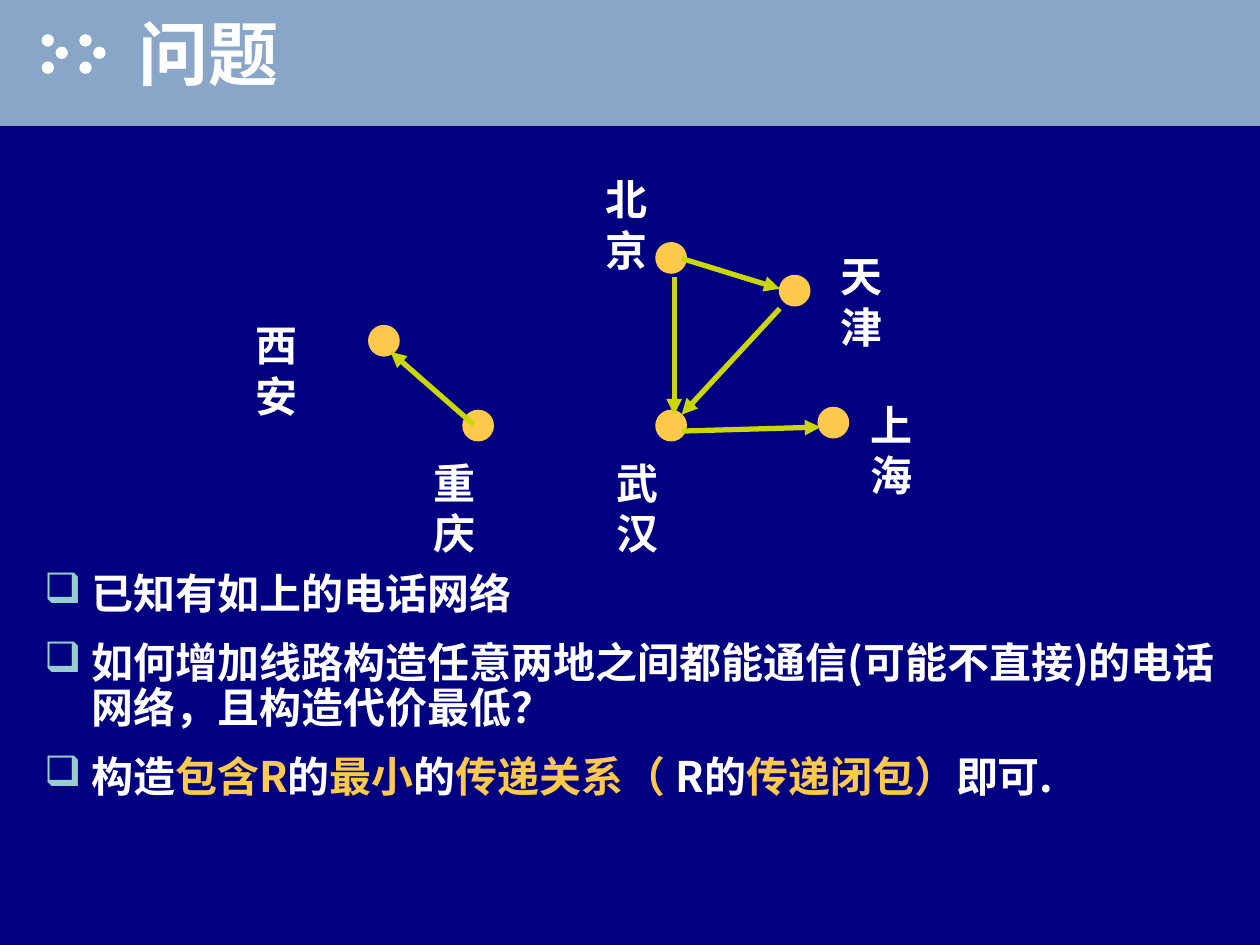
from lxml.etree import SubElement
from pptx import Presentation
from pptx.dml.color import RGBColor
from pptx.enum.shapes import MSO_CONNECTOR, MSO_SHAPE
from pptx.enum.text import MSO_ANCHOR, PP_ALIGN
from pptx.oxml.ns import qn
from pptx.util import Cm, Pt

FONT = "Noto Sans CJK SC"
NAVY, BAND, WHITE = "000080", "89A5C7", "FFFFFF"
GOLD, LIME, MINT = "FFC94C", "CAD704", "99CCCC"

TITLE = "问题"
CITIES = [
    ("天津", (15.7, 5.54), (16.69, 4.93)),
    ("北京", (13.21, 4.88), (11.96, 3.38)),
    ("上海", (16.48, 8.2), (17.3, 7.92)),
    ("武汉", (13.21, 8.26), (12.17, 9.09)),
    ("西安", (7.42, 6.55), (4.9, 6.32)),
    ("重庆", (9.32, 8.26), (8.48, 9.09)),
]
CALLS = [
    ((13.74, 5.21), (15.72, 5.82)),
    ((15.72, 6.22), (13.74, 8.36)),
    ((13.59, 5.59), (13.59, 8.36)),
    ((13.74, 8.69), (16.54, 8.61)),
    ((9.55, 8.56), (7.87, 7.09)),
]
POINTS = [
    [("已知有如上的电话网络", WHITE)],
    [("如何增加线路构造任意两地之间都能通信(可能不直接)的电话网络，且构造代价最低？", WHITE)],
    [("构造", WHITE), ("包含R", GOLD), ("的", WHITE), ("最小", GOLD), ("的", WHITE),
     ("传递关系（ ", GOLD), ("R的", WHITE), ("传递闭包）", GOLD), ("即可.", WHITE)],
]
CHEVRON_DOTS = [(0.84, 0.69), (1.12, 0.94), (0.84, 1.24)]
CHEVRON_STEP = 0.76


def paint(fill, colour):
    fill.solid()
    fill.fore_color.rgb = RGBColor.from_string(colour)


def add_solid(page, kind, left, top, width, height, colour):
    shape = page.shapes.add_shape(kind, Cm(left), Cm(top), Cm(width), Cm(height))
    shape.shadow.inherit = False
    shape.line.fill.background()
    paint(shape.fill, colour)


def add_dot(page, place, size, colour):
    add_solid(page, MSO_SHAPE.OVAL, *place, size, size, colour)


def style(para, size):
    para.alignment = PP_ALIGN.LEFT
    para.font.size = Pt(size)
    para.font.bold = True
    para.font.name = FONT
    paint(para.font.fill, WHITE)
    defaults = para._p.pPr.find(qn("a:defRPr"))
    SubElement(defaults, qn("a:ea"), typeface=FONT)


def add_bullet(para):
    properties = para._p.get_or_add_pPr()
    properties.set("marL", str(Cm(0.95)))
    properties.set("indent", str(-Cm(0.95)))
    colour = SubElement(properties, qn("a:buClr"))
    SubElement(colour, qn("a:srgbClr"), val=MINT)
    SubElement(properties, qn("a:buChar"), char="❑")


def add_title(page):
    title = page.shapes.title
    page.shapes._spTree.append(title._element)
    title.left, title.top, title.width, title.height = Cm(2.54), Cm(0), Cm(22.86), Cm(2.11)
    title.text_frame.vertical_anchor = MSO_ANCHOR.MIDDLE
    para = title.text_frame.paragraphs[0]
    span = para.add_run()
    span.text = TITLE
    style(para, 40)
    effects = SubElement(span._r.get_or_add_rPr(), qn("a:effectLst"))
    shadow = SubElement(effects, qn("a:outerShdw"), dist=str(Pt(2)), dir="2700000")
    SubElement(shadow, qn("a:srgbClr"), val="000000")


def add_label(page, text, place):
    left, top = place
    box = page.shapes.add_textbox(Cm(left), Cm(top), Cm(2.18), Cm(1.27))
    box.text_frame.word_wrap = False
    para = box.text_frame.paragraphs[0]
    para.text = text
    style(para, 24)


def add_arrow(page, start, end):
    ends = [Cm(value) for value in (*start, *end)]
    arrow = page.shapes.add_connector(MSO_CONNECTOR.STRAIGHT, *ends)
    arrow.line.width = Pt(3)
    paint(arrow.line.fill, LIME)
    SubElement(arrow.line._get_or_add_ln(), qn("a:tailEnd"), type="triangle")
    SubElement(arrow._element.spPr, qn("a:effectLst"))


def add_points(page):
    box = page.shapes.add_textbox(Cm(0.64), Cm(11.43), Cm(24.26), Cm(6.78))
    frame = box.text_frame
    frame.word_wrap = True
    for index, spans in enumerate(POINTS):
        para = frame.add_paragraph() if index else frame.paragraphs[0]
        para.line_spacing = 0.9
        if index:
            para.space_before = Pt(13.5)
        add_bullet(para)
        for text, colour in spans:
            span = para.add_run()
            span.text = text
            paint(span.font.fill, colour)
        style(para, 24)


def main():
    deck = Presentation()
    deck.slide_width, deck.slide_height = Cm(25.4), Cm(19.05)
    page = deck.slides.add_slide(deck.slide_layouts[5])
    paint(page.background.fill, NAVY)
    add_solid(page, MSO_SHAPE.RECTANGLE, 0, 0, 25.4, 2.54, BAND)
    for shift in (0, CHEVRON_STEP):
        for left, top in CHEVRON_DOTS:
            add_dot(page, (left + shift, top), 0.25, WHITE)
    add_title(page)
    add_points(page)
    for name, dot, label in CITIES:
        add_label(page, name, label)
        add_dot(page, dot, 0.64, GOLD)
    for start, end in CALLS:
        add_arrow(page, start, end)
    deck.save("out.pptx")


if __name__ == "__main__":
    main()
